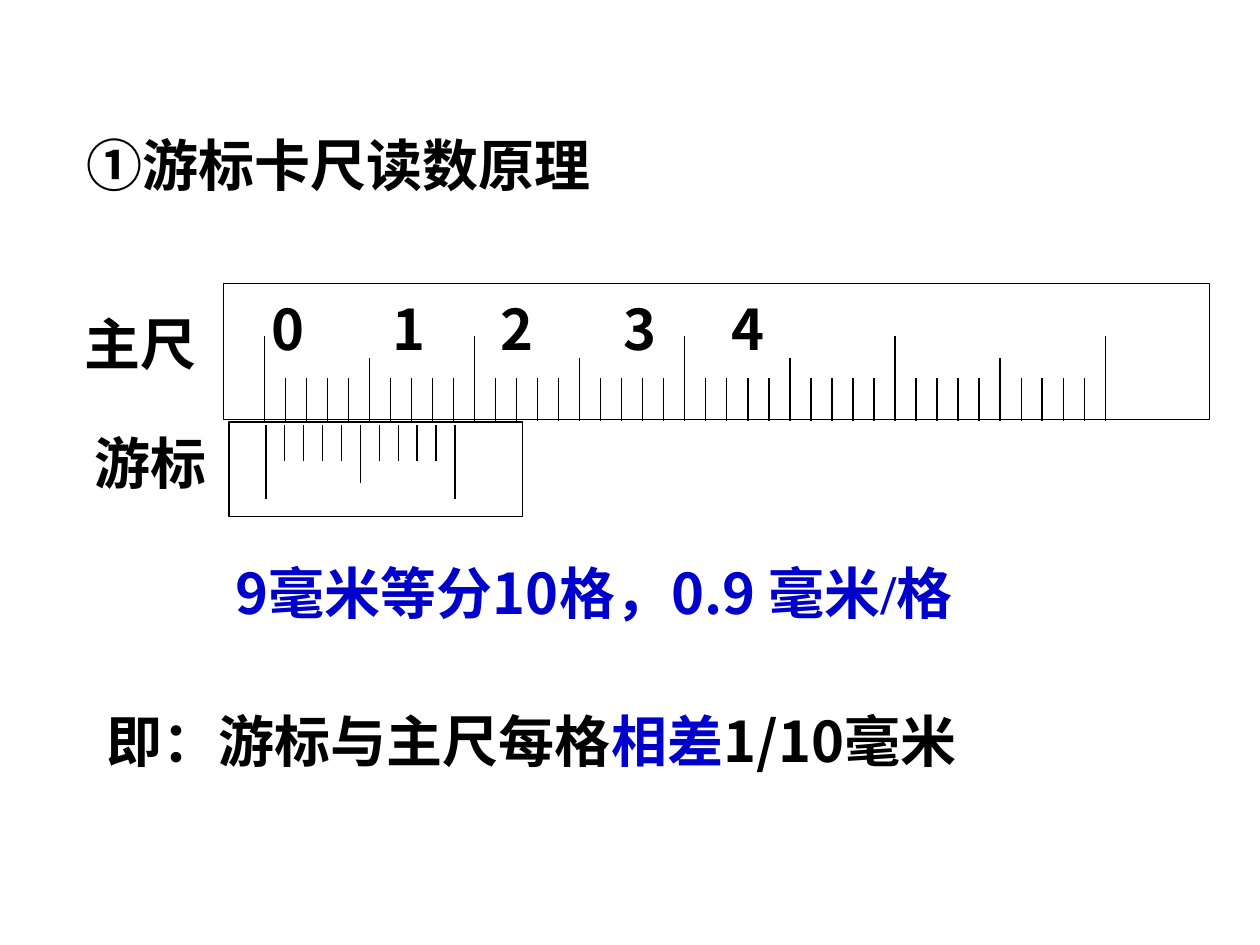
from lxml.etree import SubElement
from pptx import Presentation
from pptx.dml.color import RGBColor
from pptx.enum.shapes import MSO_CONNECTOR, MSO_SHAPE
from pptx.enum.text import MSO_AUTO_SIZE
from pptx.oxml.ns import qn
from pptx.util import Cm, Pt

BLACK = RGBColor(0x00, 0x00, 0x00)
BLUE = RGBColor(0x00, 0x00, 0xCC)
SANS, SERIF, ARIAL = "Noto Sans CJK SC", "Times New Roman", "Arial"

# Each text: (left, top, width) in cm, then runs of (text, font, colour)
TEXTS = [
    ((1.45, 6.12, 3.86), [("主尺", SERIF, BLACK)]),
    ((1.65, 8.51, 3.25), [("游标", SERIF, BLACK)]),
    ((1.5, 2.51, 14.81), [("①", ARIAL, BLACK), ("游标卡尺读数原理", SANS, BLACK)]),
    ((4.5, 11.13, 17.2), [
        ("9", SANS, BLUE), ("毫米等分", SERIF, BLUE), ("10", SANS, BLUE),
        ("格，", SERIF, BLUE), ("0.9 ", SANS, BLUE), ("毫米/格", SERIF, BLUE),
    ]),
    ((1.9, 14.12, 22.61), [
        ("即：游标与主尺每格", SERIF, BLACK), ("相差", SERIF, BLUE),
        ("1/10", SANS, BLACK), ("毫米", SERIF, BLACK),
    ]),
]
SCALE_NUMBERS = ["0", "1", "2", "3", "4"]
NUMBER_BOX = (5.23, 5.82, 18.97)
NUMBER_TABS = [2.44, 4.62, 7.08, 9.27]

# Tick ends are the far ends of the long, middle and short ticks, in cm
MAIN_SCALE = {
    "frame": (4.5, 5.72, 19.89, 2.74), "first": 5.33, "last": 22.28, "divisions": 40,
    "base": 8.48, "ends": (6.78, 7.21, 7.62),
}
VERNIER = {
    "frame": (4.62, 8.51, 5.92, 1.9), "first": 5.36, "last": 9.17, "divisions": 10,
    "base": 8.56, "ends": (10.06, 9.73, 9.3),
}


def add_text(shapes, place, runs, tab_stops=()):
    left, top, width = place
    box = shapes.add_textbox(Cm(left), Cm(top), Cm(width), Cm(1.63))
    frame = box.text_frame
    frame.word_wrap = True
    frame.auto_size = MSO_AUTO_SIZE.SHAPE_TO_FIT_TEXT
    paragraph = frame.paragraphs[0]
    if tab_stops:
        tab_list = SubElement(paragraph._p.get_or_add_pPr(), qn("a:tabLst"))
        for stop in tab_stops:
            SubElement(tab_list, qn("a:tab"), pos=str(Cm(stop)), algn="l")
    for text, font, colour in runs:
        run = paragraph.add_run()
        run.text = text
        run.font.name = font
        run.font.size = Pt(32)
        run.font.bold = True
        run.font.color.rgb = colour
        SubElement(run._r.get_or_add_rPr(), qn("a:ea"), typeface=SANS)


def add_scale(slide, scale):
    """Draw a framed ruler in a group and return the group."""
    group = slide.shapes.add_group_shape()
    frame = group.shapes.add_shape(MSO_SHAPE.RECTANGLE, *map(Cm, scale["frame"]))
    frame.shadow.inherit = False
    frame.fill.background()
    frame.line.color.rgb = BLACK
    frame.line.width = Pt(0.75)

    long_end, middle_end, short_end = scale["ends"]
    pitch = (scale["last"] - scale["first"]) / scale["divisions"]
    for i in range(scale["divisions"] + 1):
        end = long_end if i % 10 == 0 else middle_end if i % 5 == 0 else short_end
        x = Cm(scale["first"] + i * pitch)
        tick = group.shapes.add_connector(
            MSO_CONNECTOR.STRAIGHT, x, Cm(end), x, Cm(scale["base"]))
        tick.line.color.rgb = BLACK
        tick.line.width = Pt(0.75)
        SubElement(tick._element.spPr, qn("a:effectLst"))
    return group


def main():
    presentation = Presentation()
    presentation.slide_width, presentation.slide_height = Cm(25.4), Cm(19.05)
    slide = presentation.slides.add_slide(presentation.slide_layouts[6])

    main_scale = add_scale(slide, MAIN_SCALE)
    add_text(main_scale.shapes, NUMBER_BOX,
             [("\t".join(SCALE_NUMBERS), SANS, BLACK)], NUMBER_TABS)
    add_scale(slide, VERNIER)
    for place, runs in TEXTS:
        add_text(slide.shapes, place, runs)

    presentation.save("out.pptx")


if __name__ == "__main__":
    main()
